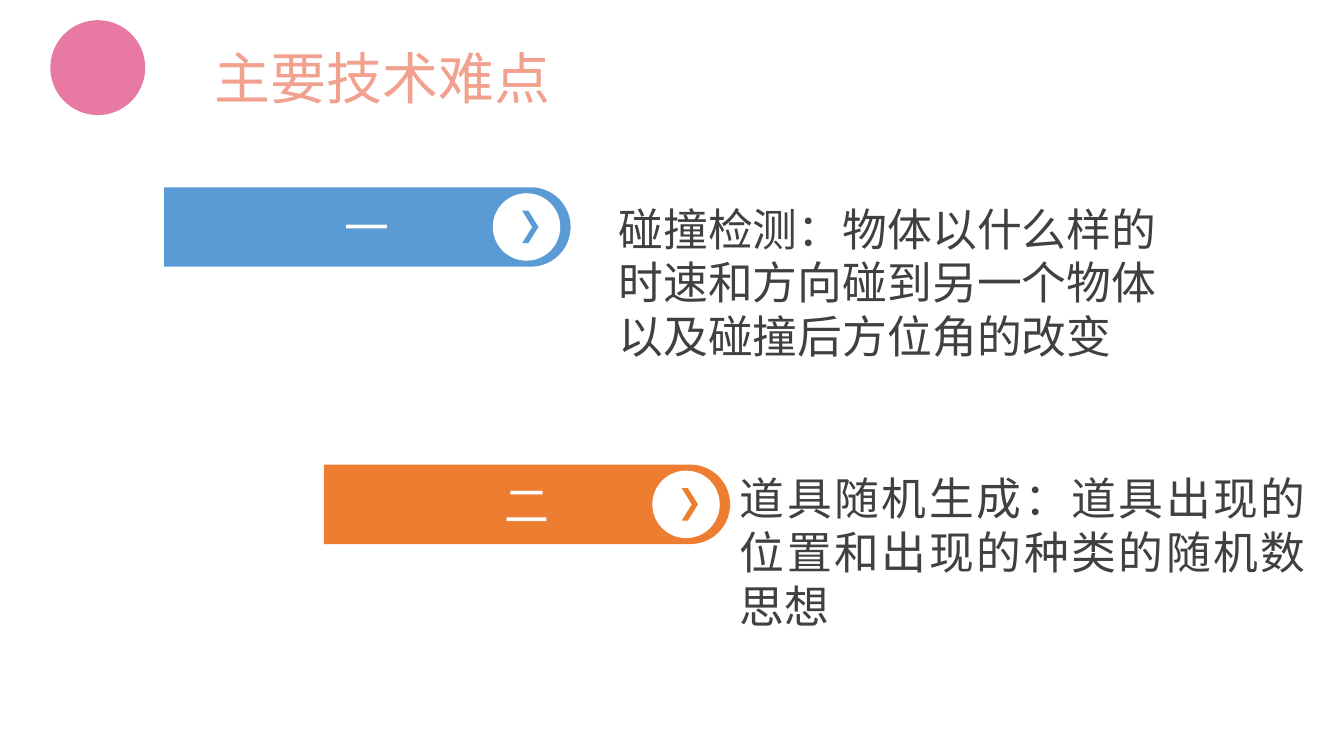
import math

from pptx import Presentation
from pptx import util as u
from pptx.dml.color import RGBColor
from pptx.enum import shapes, text

FONT = "Calibri"
BAR_WIDTH = 10.24
BAR_HEIGHT = 2
BADGE_SIZE = 1.7
ARC_STEPS = 36


def color(value):
    return RGBColor.from_string(value)


def paint(shape, fill):
    shape.shadow.inherit = False
    shape.fill.solid()
    shape.fill.fore_color.rgb = color(fill)
    shape.line.fill.background()


def write(shape, content, size, font_color, align, inset=None):
    frame = shape.text_frame
    frame.word_wrap = True
    frame.vertical_anchor = text.MSO_ANCHOR.MIDDLE
    if inset is not None:
        frame.margin_left = frame.margin_right = inset
        frame.margin_top = frame.margin_bottom = inset
    paragraph = frame.paragraphs[0]
    paragraph.text = content
    paragraph.alignment = align
    paragraph.font.name = FONT
    paragraph.font.size = u.Pt(size)
    paragraph.font.color.rgb = color(font_color)
    return paragraph


def add_preset(slide, kind, left, top, width, height, fill):
    shape = slide.shapes.add_shape(kind, u.Cm(left), u.Cm(top), u.Cm(width), u.Cm(height))
    paint(shape, fill)
    return shape


def add_text(slide, left, top, width, height, content, size, font_color, align):
    shape = slide.shapes.add_textbox(u.Cm(left), u.Cm(top), u.Cm(width), u.Cm(height))
    return write(shape, content, size, font_color, align)


def add_bar(slide, left, top, label, fill):
    radius = BAR_HEIGHT / 2
    center_x, center_y = left + BAR_WIDTH - radius, top + radius
    angles = [math.pi * (step / ARC_STEPS - 0.5) for step in range(ARC_STEPS + 1)]
    points = [(center_x + radius * math.cos(a), center_y + radius * math.sin(a)) for a in angles]
    points.append((left, top + BAR_HEIGHT))
    builder = slide.shapes.build_freeform(u.Cm(left), u.Cm(top))
    builder.add_line_segments([(u.Cm(x), u.Cm(y)) for x, y in points], close=True)
    bar = builder.convert_to_shape()
    paint(bar, fill)
    write(bar, label, 32, "FFFFFF", text.PP_ALIGN.CENTER, inset=0)


def add_badge(slide, left, top, chevron_fill):
    preset = shapes.MSO_SHAPE
    add_preset(slide, preset.OVAL, left, top, BADGE_SIZE, BADGE_SIZE, "FFFFFF")
    chevron = add_preset(slide, preset.CHEVRON, left + 0.74, top + 0.44, 0.41, 0.82, chevron_fill)
    chevron.adjustments[0] = 0.62


def add_difficulty(slide, left, top, label, fill, text_left, text_top, content, align):
    add_bar(slide, left, top, label, fill)
    add_badge(slide, left + 8.28, top + (BAR_HEIGHT - BADGE_SIZE) / 2, fill)
    add_text(slide, text_left, text_top, 14.78, 4.45, content, 32, "404040", align)


def main():
    presentation = Presentation()
    presentation.slide_width = u.Cm(33.87)
    presentation.slide_height = u.Cm(19.05)
    slide = presentation.slides.add_slide(presentation.slide_layouts[6])

    align = text.PP_ALIGN
    add_difficulty(slide, 4.14, 4.72, "一", "5B9BD5", 15.34, 4.88,
                   "碰撞检测：物体以什么样的时速和方向碰到另一个物体以及碰撞后方位角的改变", align.LEFT)
    add_difficulty(slide, 8.16, 11.71, "二", "ED7D31", 18.39, 11.68,
                   "道具随机生成：道具出现的位置和出现的种类的随机数思想", align.JUSTIFY)

    add_preset(slide, shapes.MSO_SHAPE.OVAL, 1.27, 0.51, 2.39, 2.39, "E779A3")
    title = add_text(slide, 5.16, 1.12, 12.95, 1.14, "主要技术难点", 40, "F2A18E", align.LEFT)
    title.line_spacing = 1.3

    presentation.save("out.pptx")


if __name__ == "__main__":
    main()
